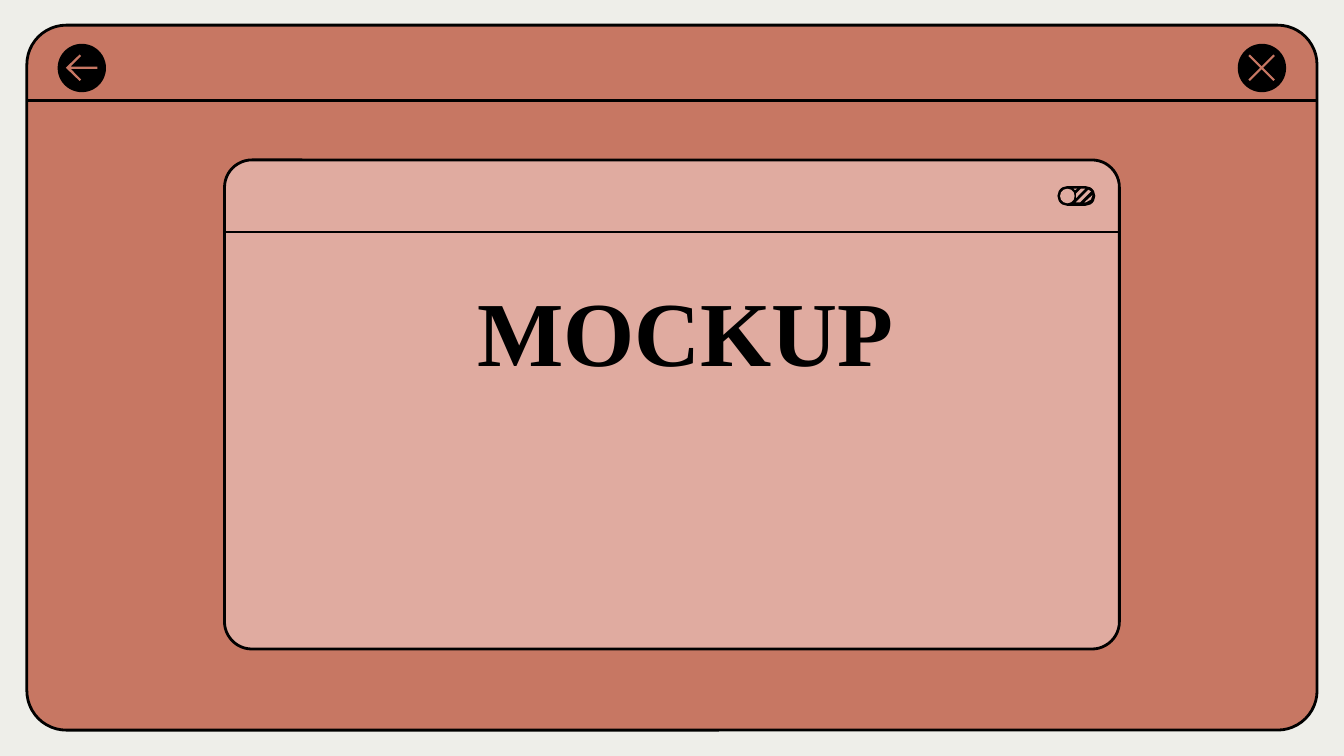
from lxml import etree
from pptx import Presentation
from pptx.dml.color import RGBColor
from pptx.enum.shapes import MSO_CONNECTOR, MSO_SHAPE
from pptx.enum.text import MSO_ANCHOR, PP_ALIGN
from pptx.oxml.ns import qn
from pptx.util import Pt

ROUND = MSO_SHAPE.ROUNDED_RECTANGLE
OVAL = MSO_SHAPE.OVAL
LINE = MSO_CONNECTOR.STRAIGHT
CENTER = PP_ALIGN.CENTER
BOTTOM = MSO_ANCHOR.BOTTOM

BLACK, CLAY, PINK, PAPER = "000000", "C77763", "E0ABA0", "EEEEE9"
FONT = "Times New Roman"

# Outlines in points, relative to the box of their icon
CROSS = [(6.5, 5.7), (5.7, 6.5), (12, 12.8), (5.7, 19.1), (6.5, 19.9),
         (12.8, 13.6), (19.1, 19.9), (19.9, 19.1), (13.6, 12.8),
         (19.9, 6.5), (19.1, 5.7), (12.8, 12)]
ARROW = [(11.8, 5.7), (4.4, 12.8), (11.8, 19.9), (12.6, 19.1), (7, 13.4),
         (21.3, 13.4), (21.3, 12.2), (7, 12.2), (12.6, 6.5)]
STRIPES = [
    [(9.4, 2.2), (10.5, 1.4), (8.6, 1.4)],
    [(14.8, 1.4), (10, 6.3), (10, 4), (12.6, 1.4)],
    [(16.6, 2), (18, 2.9), (12.2, 8.7), (9.9, 8.7)],
    [(18.7, 4.9), (18, 7.2), (15.3, 8.7), (14.5, 8.7)],
]


def rgb(code):
    return RGBColor.from_string(code)


def paint(shape, fill, edge=None):
    shape.shadow.inherit = False
    shape.fill.solid()
    shape.fill.fore_color.rgb = rgb(fill)
    if edge:
        shape.line.color.rgb = rgb(edge)
        shape.line.width = Pt(1.5)
    else:
        shape.line.fill.background()


def add_form(slide, kind, x, y, w, h, fill, edge=None):
    shape = slide.shapes.add_shape(kind, Pt(x), Pt(y), Pt(w), Pt(h))
    paint(shape, fill, edge)
    return shape


def add_path(slide, x, y, points, fill):
    spots = [(Pt(x + dx), Pt(y + dy)) for dx, dy in points]
    pen = slide.shapes.build_freeform(*spots[0], scale=1.0)
    pen.add_line_segments(spots[1:], close=True)
    paint(pen.convert_to_shape(), fill)


def add_window(slide, x, y, w, h, bar, fill):
    """Rounded window with a rule below its title bar."""
    pane = add_form(slide, ROUND, x, y, w, h, fill, BLACK)
    pane.adjustments[0] = 0.056
    rule = slide.shapes.add_connector(
        LINE, Pt(x + 0.75), Pt(y + bar), Pt(x + w - 0.5), Pt(y + bar))
    rule.line.color.rgb = rgb(BLACK)
    rule.line.width = Pt(1.5)
    etree.SubElement(rule._element.spPr, qn("a:effectLst"))


def add_button(slide, x, y, size, icon):
    add_form(slide, OVAL, x, y, size, size, BLACK)
    add_path(slide, x, y, icon, CLAY)


def add_toggle(slide, x, y, w, h):
    """Switch with a round knob and a striped track."""
    track = add_form(slide, ROUND, x, y, w, h, BLACK)
    track.adjustments[0] = 0.5
    rim = 1.4
    knob = h - 2 * rim
    add_form(slide, OVAL, x + rim, y + rim, knob, knob, PINK)
    for stripe in STRIPES:
        add_path(slide, x, y, stripe, PINK)


def add_title(slide, x, y, w, h, text):
    box = slide.shapes.add_textbox(Pt(x), Pt(y), Pt(w), Pt(h))
    frame = box.text_frame
    frame.word_wrap = True
    frame.vertical_anchor = BOTTOM
    frame.margin_left = frame.margin_right = Pt(7.2)
    frame.margin_top = frame.margin_bottom = Pt(7.2)
    frame.text = text
    line = frame.paragraphs[0]
    line.alignment = CENTER
    line.line_spacing = 0.7
    font = line.runs[0].font
    font.name, font.size, font.bold = FONT, Pt(49), True
    font.color.rgb = rgb(BLACK)


def main():
    deck = Presentation()
    deck.slide_width, deck.slide_height = Pt(720), Pt(405)
    slide = deck.slides.add_slide(deck.slide_layouts[6])
    slide.background.fill.solid()
    slide.background.fill.fore_color.rgb = rgb(PAPER)

    # Outer and inner windows
    add_window(slide, 14.4, 13.5, 691.2, 377.7, 40.2, CLAY)
    add_window(slide, 120.3, 85.7, 479.4, 262, 38.6, PINK)

    # Close and back buttons
    add_button(slide, 663.1, 23.5, 25.9, CROSS)
    add_button(slide, 30.9, 23.5, 25.9, ARROW)

    # Switch and title of the inner window
    add_toggle(slide, 566.5, 99.7, 20.3, 10.6)
    add_title(slide, 210.2, 155.5, 313.9, 56.2, "MOCKUP")

    deck.save("out.pptx")


if __name__ == "__main__":
    main()
